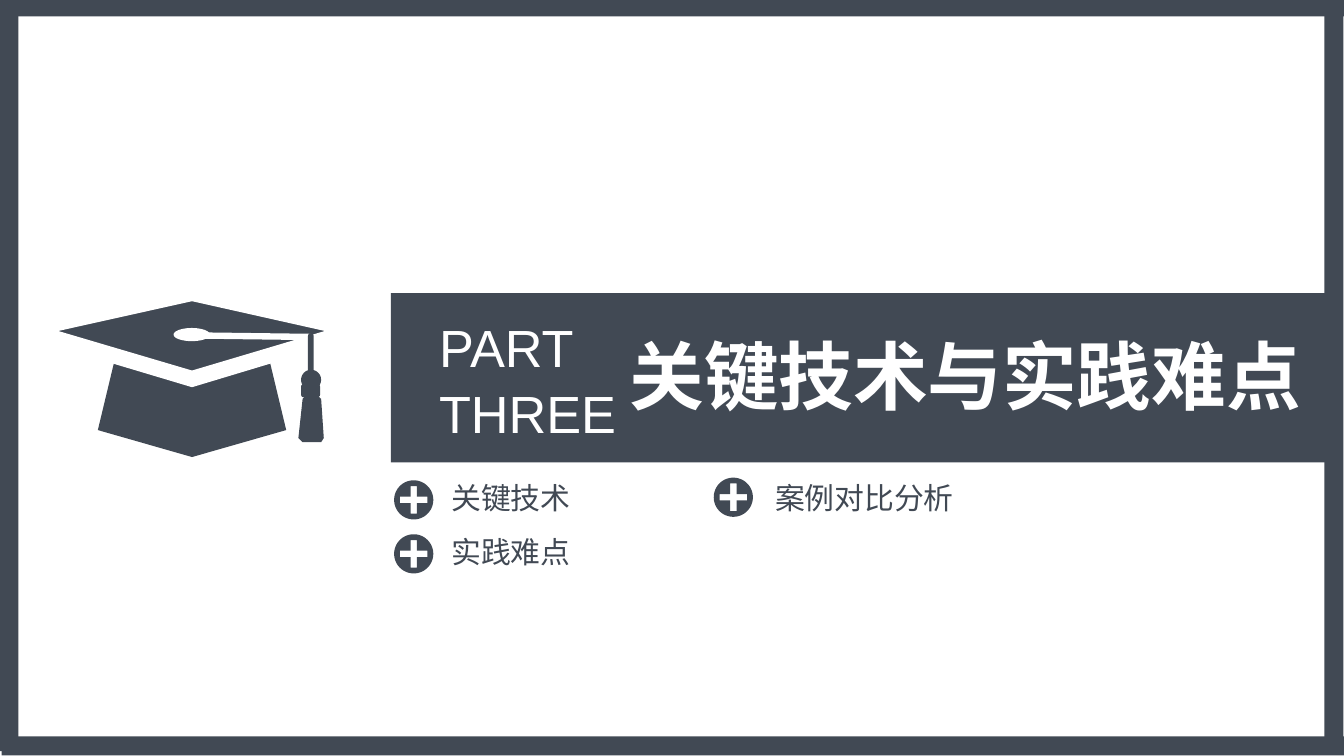
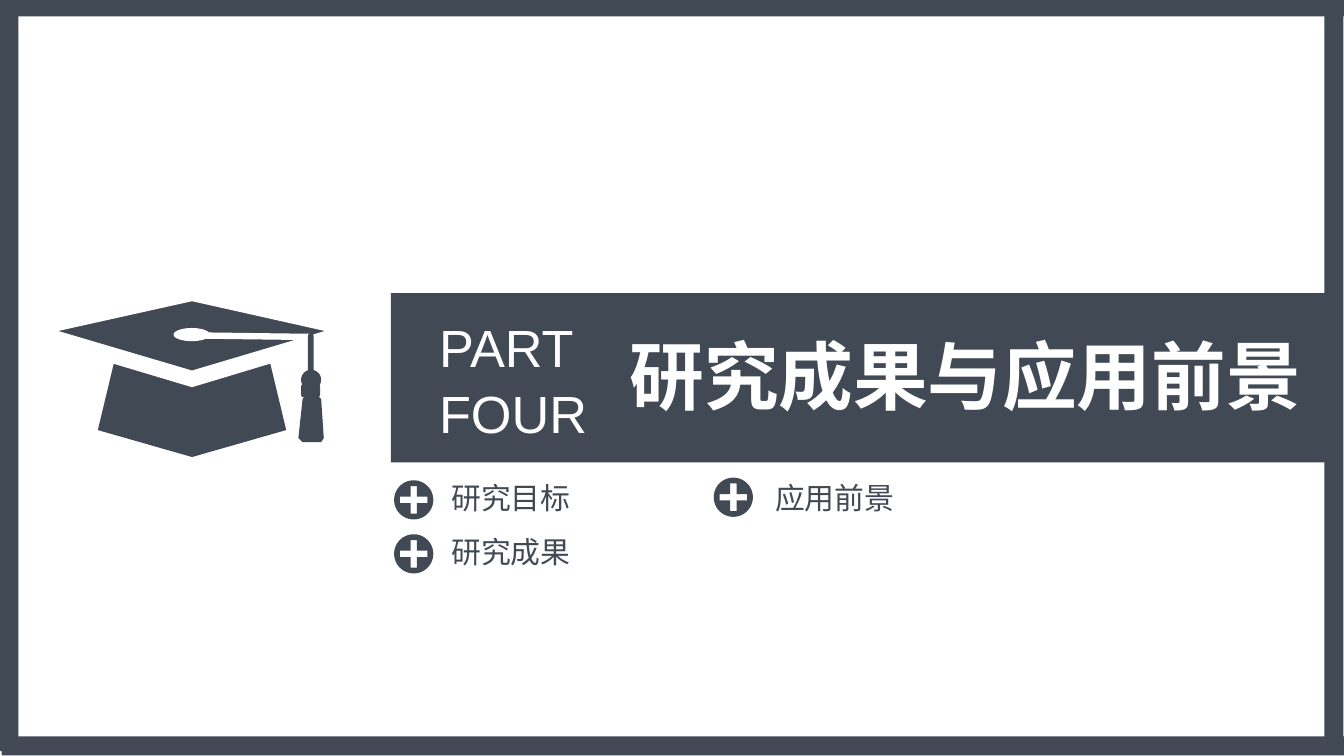
import dataclasses
import math

import pptx
import pptx.dml.color
import pptx.enum.shapes
import pptx.enum.text
import pptx.util

Cm = pptx.util.Cm
Kind = pptx.enum.shapes.MSO_SHAPE
Align = pptx.enum.text.PP_ALIGN


@dataclasses.dataclass(frozen=True)
class Theme:
    dark: str = "414954"
    light: str = "FFFFFF"
    font: str = "Arial"
    head: int = 40
    label: int = 28
    item: int = 16


def rgb(tint):
    return pptx.dml.color.RGBColor.from_string(tint)


def write(frame, text, *, font, size, tint, bold=False, align=Align.LEFT, lead=None):
    """Fill a text frame with one wrapped paragraph, set from the top."""
    frame.word_wrap = True
    frame.auto_size = pptx.enum.text.MSO_AUTO_SIZE.SHAPE_TO_FIT_TEXT
    frame.vertical_anchor = pptx.enum.text.MSO_ANCHOR.TOP
    para = frame.paragraphs[0]
    para.alignment = align
    para.line_spacing = lead
    run = para.add_run()
    run.text = text
    run.font.name = font
    run.font.size = pptx.util.Pt(size)
    run.font.bold = bold
    run.font.color.rgb = rgb(tint)


class Deck:
    def __init__(self, theme):
        self.theme = theme
        self.file = pptx.Presentation()
        self.file.slide_width = Cm(25.4)
        self.file.slide_height = Cm(14.29)
        self.slide = None

    def start(self):
        self.slide = self.file.slides.add_slide(self.file.slide_layouts[5])

    def paint(self, shape, tint, edge=None):
        shape.shadow.inherit = False
        shape.fill.solid()
        shape.fill.fore_color.rgb = rgb(tint)
        if edge:
            shape.line.color.rgb = rgb(edge)
            shape.line.width = pptx.util.Pt(3)
        else:
            shape.line.fill.background()

    def shape(self, kind, box, tint, round=None):
        item = self.slide.shapes.add_shape(kind, *map(Cm, box))
        if round is not None:
            item.adjustments[0] = round
        self.paint(item, tint)

    def outline(self, *rings, tint, edge=None):
        """Draw closed rings of points; later rings cut holes in the first."""
        rings = [[(Cm(x), Cm(y)) for x, y in ring] for ring in rings]
        pen = self.slide.shapes.build_freeform(*rings[0][0])
        pen.add_line_segments(rings[0][1:])
        for ring in rings[1:]:
            pen.move_to(*ring[0])
            pen.add_line_segments(ring[1:])
        self.paint(pen.convert_to_shape(), tint, edge)

    def text(self, text, box, **style):
        item = self.slide.shapes.add_textbox(*map(Cm, box))
        write(item.text_frame, text, font=self.theme.font, **style)

    def title(self, text, box):
        item = self.slide.shapes.title
        item.left, item.top, item.width, item.height = map(Cm, box)
        write(item.text_frame, text, font=self.theme.font, size=self.theme.head,
              tint=self.theme.light, bold=True, align=Align.CENTER)
        # The title must lie above the band.
        self.slide.shapes.element.append(item.element)

    def frame(self):
        thick = 0.36
        for box in (
            (0.03, -0.05, 25.37, thick),
            (0.03, 13.92, 25.37, thick),
            (-0.01, 0, thick, 14.2),
            (25.03, 0, thick, 14.2),
            (7.39, 5.54, 17.81, 3.2),
        ):
            self.shape(Kind.RECTANGLE, box, self.theme.dark)

    def cap(self):
        dark, light = self.theme.dark, self.theme.light
        left, back, right, front = (0.89, 6.25), (3.63, 5.64), (6.35, 6.25), (3.63, 7.06)
        self.outline([(5.41, 8.13), (3.63, 8.64), (1.85, 8.13), (2.21, 6.63),
                      (5.05, 6.63)], tint=dark)
        self.outline([right, back, left, (0.89, 6.5), (3.63, 7.32), (6.35, 6.5)],
                     tint=light)
        self.outline([front, left, back, right], tint=dark, edge=light)
        cord = [(3.56, 6.28), (5.87, 6.31), (5.92, 6.38), (5.85, 6.43),
                (3.56, 6.4), (3.53, 6.33)]
        self.outline(cord, tint=light)
        self.shape(Kind.ROUNDED_RECTANGLE, (5.82, 6.3, 0.11, 0.79), dark, round=0.5)
        self.shape(Kind.OVAL, (5.69, 6.99, 0.38, 0.38), dark)
        brush = [(5.79, 7.47), (5.99, 7.47), (6.07, 7.54), (6.12, 8.28),
                 (6.07, 8.36), (5.72, 8.36), (5.64, 8.28), (5.72, 7.54)]
        self.outline(brush, tint=dark)
        self.shape(Kind.ROUNDED_RECTANGLE, (5.69, 7.26, 0.36, 0.25), dark, round=0.2)
        self.shape(Kind.OVAL, (3.28, 6.2, 0.69, 0.25), light)

    def plus(self, x, y):
        """Draw a disc around (x, y) with a plus sign cut out."""
        rad, arm, half, steps = 0.37, 0.26, 0.06, 72
        turns = [2 * math.pi * n / steps for n in range(steps)]
        disc = [(x + rad * math.cos(t), y + rad * math.sin(t)) for t in turns]
        # One arm, turned four times against the disc.
        cross = []
        for dx, dy in ((1, 0), (0, -1), (-1, 0), (0, 1)):
            for out, side in ((half, -half), (arm, -half), (arm, half)):
                cross.append((x + out * dx + side * dy, y + out * dy - side * dx))
        self.outline(disc, cross, tint=self.theme.dark)

    def item(self, text, dot, spot):
        self.plus(*dot)
        self.text(text, (*spot, 6.32, 0.94), size=self.theme.item, tint=self.theme.dark)

    def divide(self, name, head, items):
        """Add a divider slide that opens one part of the talk."""
        self.start()
        self.frame()
        self.cap()
        self.text(name, (8.05, 5.77, 5.21, 2.64), size=self.theme.label,
                  tint=self.theme.light, lead=1.05)
        self.title(head, (11.13, 6.1, 14.22, 1.96))
        step = 1.02
        dots = (7.82, 9.45), (7.82, 9.45 + step), (13.86, 9.4)
        spots = (8.28, 8.94), (8.28, 8.94 + step), (14.4, 8.94)
        for text, dot, spot in zip(items, dots, spots):
            self.item(text, dot, spot)


def main():
    deck = Deck(Theme())
    deck.divide("PART THREE", "关键技术与实践难点", ("关键技术", "实践难点", "案例对比分析"))
    deck.divide("PART FOUR", "研究成果与应用前景", ("研究目标", "研究成果", "应用前景"))
    deck.file.save("out.pptx")


if __name__ == "__main__":
    main()
